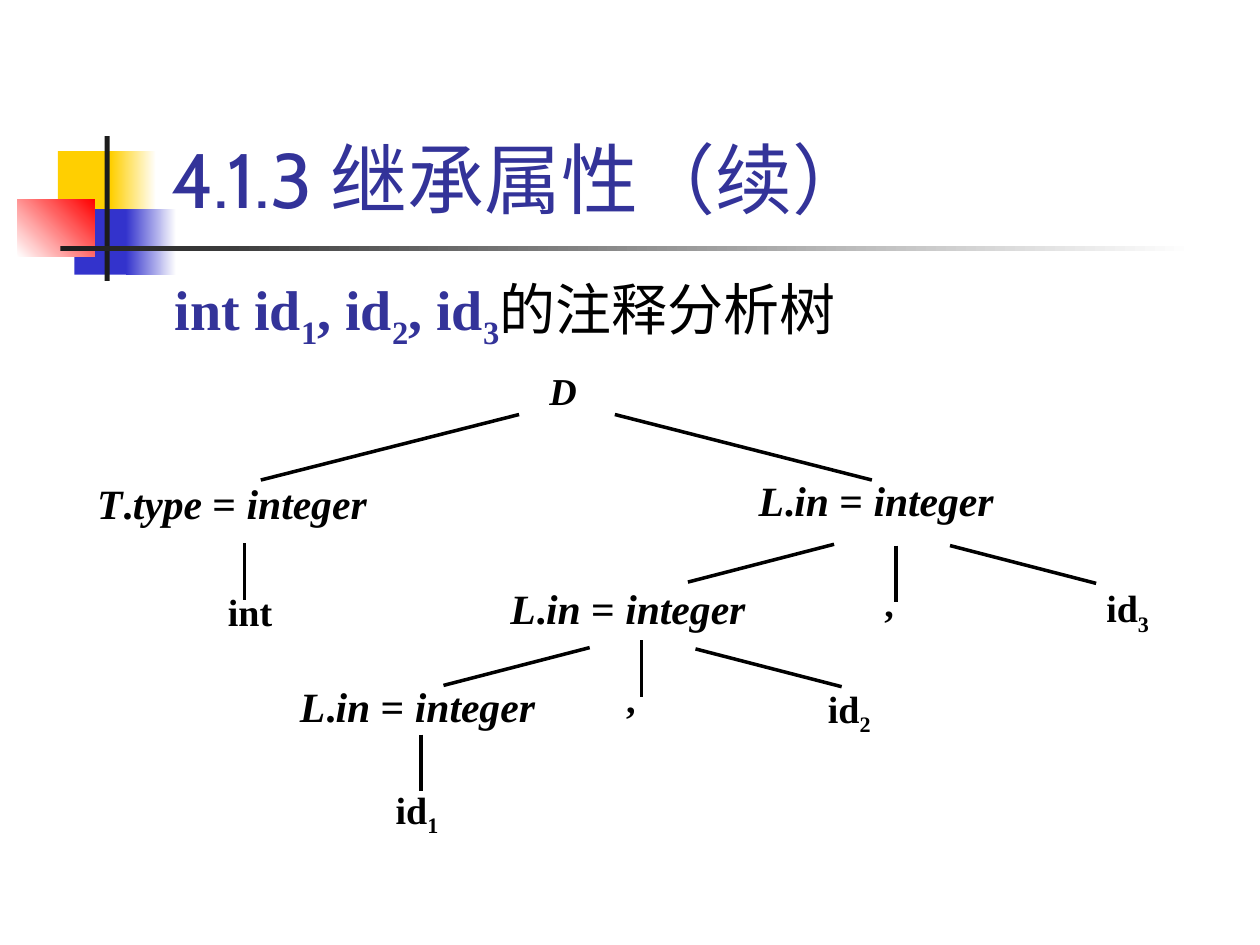
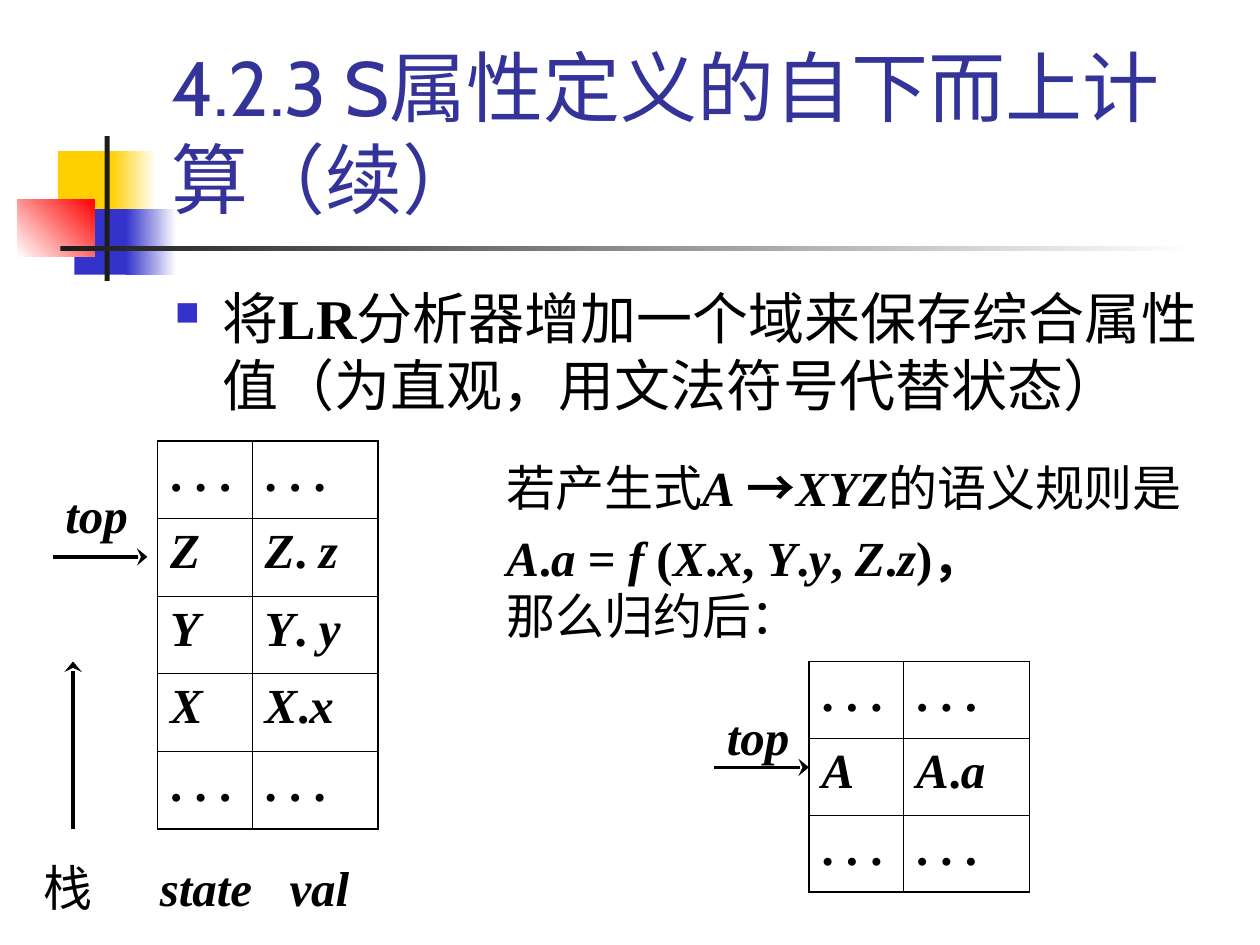
from itertools import groupby

from lxml.etree import SubElement
from pptx import Presentation
from pptx.dml.color import RGBColor
from pptx.enum.shapes import MSO_CONNECTOR as Connector, MSO_SHAPE as Shape
from pptx.enum.text import MSO_ANCHOR as Anchor, PP_ALIGN as Align
from pptx.oxml.ns import qn
from pptx.util import Emu, Inches, Pt

BLACK = RGBColor(0x00, 0x00, 0x00)
WHITE = RGBColor(0xFF, 0xFF, 0xFF)
NAVY = RGBColor(0x33, 0x33, 0x99)
BLUE = RGBColor(0x33, 0x33, 0xCC)
YELLOW = RGBColor(0xFF, 0xCF, 0x01)
RED = RGBColor(0xFF, 0x00, 0x00)
INK = RGBColor(0x1C, 0x1C, 0x1C)
SERIF, TITLE_FONT, CJK_FONT = "Times New Roman", "Cabin", "Noto Sans CJK SC"


# Runs: (text, format) pairs
def symbols(text):
    """Bold formula: letters italic, punctuation upright."""
    return [("".join(part), {"bold": True, "italic": letters})
            for letters, part in groupby(text, str.isalpha)]


def identifiers(text, **fmt):
    """Bold source text with digits as subscripts."""
    return [("".join(part), {"bold": True, "sub": digits, **fmt})
            for digits, part in groupby(text, str.isdigit)]


# Shared band: box, first colour, last colour (None is plain), angle
BAND = [
    ((0.46, 1.2, 0.48, 0.52), YELLOW, None, 0),
    ((0.88, 1.2, 0.36, 0.52), YELLOW, WHITE, 0),
    ((0.59, 1.66, 0.46, 0.52), BLUE, None, 0),
    ((1, 1.66, 0.4, 0.52), BLUE, WHITE, 0),
    ((0.14, 1.58, 0.61, 0.46), WHITE, RED, 45),
    ((0.83, 1.08, 0.04, 1.15), INK, None, 0),
    ((0.48, 1.95, 9, 0.04), INK, WHITE, 0),
]
TITLE_BOX = (1.26, 0.23, 8.52, 1.6)
BODY_BOX = (1.29, 2.21, 8.5, 4.5)

# Slide 1: annotated parse tree
TREE_TITLE = "4.1.3 继承属性（续）"
TREE_HEADING = identifiers("int id1, id2, id3", color=NAVY) + [("的注释分析树", {})]
ATTRIBUTES = [
    ("T.type = integer", 0.75, 3.78),
    ("L.in = integer", 6, 3.76),
    ("L.in = integer", 4.03, 4.62),
    ("L.in = integer", 2.36, 5.39),
]
LEAVES = [
    (symbols("D"), (4.34, 2.91, 0.43, 0.42), Align.JUSTIFY),
    (identifiers("int"), (1.31, 4.66, 1.35, 0.42), Align.CENTER),
    (identifiers(","), (7, 4.59, 0.43, 0.42), Align.JUSTIFY),
    (identifiers(","), (4.95, 5.35, 0.43, 0.42), Align.JUSTIFY),
    (identifiers("id3"), (8.76, 4.63, 0.99, 0.44), Align.JUSTIFY),
    (identifiers("id2"), (6.55, 5.43, 0.99, 0.44), Align.JUSTIFY),
    (identifiers("id1"), (3.12, 6.23, 0.99, 0.44), Align.JUSTIFY),
]
# Branches: start point, then run and drop to the child
BRANCHES = [
    (4.12, 3.29, -2.05, 0.52), (4.88, 3.29, 2.04, 0.52),
    (6.62, 4.32, -1.16, 0.3), (7.54, 4.33, 1.16, 0.3),
    (4.68, 5.14, -1.16, 0.3), (5.52, 5.15, 1.16, 0.3),
    (1.94, 4.31, 0, 0.45), (7.11, 4.33, 0, 0.45),
    (5.09, 5.08, 0, 0.45), (3.34, 5.83, 0, 0.45),
]

# Slide 2: parser stack before and after the reduction
STACK_TITLE = "4.2.3 S属性定义的自下而上计算（续）"
STACK_BULLET = [("将", {}), ("LR", {"bold": True}),
                ("分析器增加一个域来保存综合属性值（为直观，用文法符号代替状态）", {})]
DOTS = (". . .", ". . .")
STACK_BEFORE = [DOTS, ("Z", "Z. z"), ("Y", "Y. y"), ("X", "X.x"), DOTS]
STACK_AFTER = [DOTS, ("A", "A.a"), DOTS]
STACK_LABELS = [("栈\t", {}), *symbols("state"), ("\t", {}), *symbols("val")]
REDUCTION = [
    [("若产生式", {}), *symbols("A "), ("→", {"bold": True, "font": CJK_FONT}),
     *symbols("XYZ"), ("的语义规则是", {})],
    symbols("A.a = f (X.x, Y.y, Z.z)，"),
    [("那么归约后：", {})],
]
TOP_LABELS = [(0.42, 3.83), (5.67, 5.59)]
STACK_ARROWS = [(0.42, 4.42, 0.75, 0), (0.58, 6.58, 0, -1.33), (5.67, 6.09, 0.75, 0)]


def write(frame, paragraphs, size=28, font=SERIF, east_font=CJK_FONT, color=BLACK,
          align=None, anchor=Anchor.TOP, insets=(0.1, 0.05), bullet=False,
          tabs=(), pitches=()):
    """Fill a text frame; each paragraph is a list of (text, format) runs."""
    frame.word_wrap = True
    frame.vertical_anchor = anchor
    frame.margin_left = frame.margin_right = Inches(insets[0])
    frame.margin_top = frame.margin_bottom = Inches(insets[1])
    for i, runs in enumerate(paragraphs):
        par = frame.add_paragraph() if i else frame.paragraphs[0]
        props = par._p.get_or_add_pPr()
        if bullet:
            props.set("marL", str(Inches(0.38)))
            props.set("indent", str(-Inches(0.38)))
            SubElement(SubElement(props, qn("a:buClr")), qn("a:srgbClr"), val=str(BLUE))
            SubElement(props, qn("a:buSzPct"), val="60000")
            SubElement(props, qn("a:buChar"), char="■")
        if tabs:
            stops = SubElement(props, qn("a:tabLst"))
            for stop in tabs:
                SubElement(stops, qn("a:tab"), pos=str(Inches(stop)), algn="l")
        par.alignment = align
        if pitches:
            par.line_spacing = Pt(pitches[i])
        for text, fmt in runs:
            run = par.add_run()
            run.text = text
            run.font.size = Pt(size)
            run.font.bold = fmt.get("bold", False)
            run.font.italic = fmt.get("italic", False)
            run.font.color.rgb = fmt.get("color", color)
            run.font.name = fmt.get("font", font)
            SubElement(run._r.rPr, qn("a:ea"), typeface=east_font)
            if fmt.get("sub"):
                run._r.rPr.set("baseline", "-25000")


def add_text(slide, box, paragraphs, **fmt):
    write(slide.shapes.add_textbox(*map(Inches, box)).text_frame, paragraphs, **fmt)


def add_line(slide, x, y, dx, dy, arrow=False):
    line = slide.shapes.add_connector(
        Connector.STRAIGHT, *map(Inches, (x, y, x + dx, y + dy)))
    line.line.color.rgb = BLACK
    line.line.width = Pt(2)
    if arrow:
        SubElement(line.line._get_or_add_ln(), qn("a:tailEnd"), type="stealth", w="lg")
    SubElement(line._element.spPr, qn("a:effectLst"))


def add_stack(slide, x, y, height, rows):
    table = slide.shapes.add_table(
        len(rows), 2, *map(Inches, (x, y, 1.75, height))).table
    table.first_row = table.horz_banding = False
    for column, width in zip(table.columns, (0.75, 1)):
        column.width = Inches(width)
    for r, row in enumerate(rows):
        table.rows[r].height = Emu(int(Inches(height) / len(rows)))
        for c, text in enumerate(row):
            cell = table.cell(r, c)
            write(cell.text_frame, [symbols(text)])
            cell.margin_left = cell.margin_right = Inches(0.1)
            cell.margin_top = cell.margin_bottom = Inches(0.05)
            # Outer edges are heavier than inner ones
            outer = {"L": c == 0, "R": c == 1, "T": r == 0, "B": r == len(rows) - 1}
            for side, heavy in outer.items():
                edge = SubElement(cell._tc.get_or_add_tcPr(), qn(f"a:ln{side}"),
                                  w=str(Pt(1.08 if heavy else 0.45)))
                SubElement(SubElement(edge, qn("a:solidFill")), qn("a:srgbClr"),
                           val=str(BLACK))
            cell.fill.background()


def add_page(deck, title):
    slide = deck.slides.add_slide(deck.slide_layouts[6])
    for box, first, last, angle in BAND:
        block = slide.shapes.add_shape(Shape.RECTANGLE, *map(Inches, box))
        block.shadow.inherit = False
        block.line.fill.background()
        if last is None:
            block.fill.solid()
            block.fill.fore_color.rgb = first
        else:
            block.fill.gradient()
            block.fill.gradient_angle = angle
            for stop, color in zip(block.fill.gradient_stops, (first, last)):
                stop.color.rgb = color
    add_text(slide, TITLE_BOX, [[(title, {})]], size=44, font=TITLE_FONT,
             east_font=TITLE_FONT, color=NAVY, anchor=Anchor.BOTTOM)
    return slide


def build_tree(deck):
    slide = add_page(deck, TREE_TITLE)
    add_text(slide, BODY_BOX, [TREE_HEADING], size=32, pitches=[38])
    for text, x, y in ATTRIBUTES:
        add_text(slide, (x, y, 2.61, 0.44), [symbols(text)], size=23.8,
                 align=Align.JUSTIFY, insets=(0.02, 0.01))
    for runs, box, align in LEAVES:
        add_text(slide, box, [runs], size=21.7, align=align, insets=(0.02, 0.01))
    for branch in BRANCHES:
        add_line(slide, *branch)


def build_stacks(deck):
    slide = add_page(deck, STACK_TITLE)
    add_text(slide, BODY_BOX, [STACK_BULLET], size=32, bullet=True, pitches=[38])
    add_stack(slide, 1.25, 3.5, 3.08, STACK_BEFORE)
    add_stack(slide, 6.42, 5.25, 1.83, STACK_AFTER)
    add_text(slide, (0.25, 6.75, 2.83, 0.58), [STACK_LABELS],
             anchor=Anchor.MIDDLE, tabs=(0.92, 1.95), pitches=[33])
    add_text(slide, (3.92, 3.59, 5.95, 1.5), REDUCTION, pitches=[33, 40, 33])
    for x, y in TOP_LABELS:
        add_text(slide, (x, y, 0.8, 0.5), [symbols("top")], anchor=Anchor.MIDDLE)
    for arrow in STACK_ARROWS:
        add_line(slide, *arrow, arrow=True)


def main():
    deck = Presentation()
    deck.slide_width, deck.slide_height = Inches(10), Inches(7.5)
    build_tree(deck)
    build_stacks(deck)
    deck.save("out.pptx")


if __name__ == "__main__":
    main()
